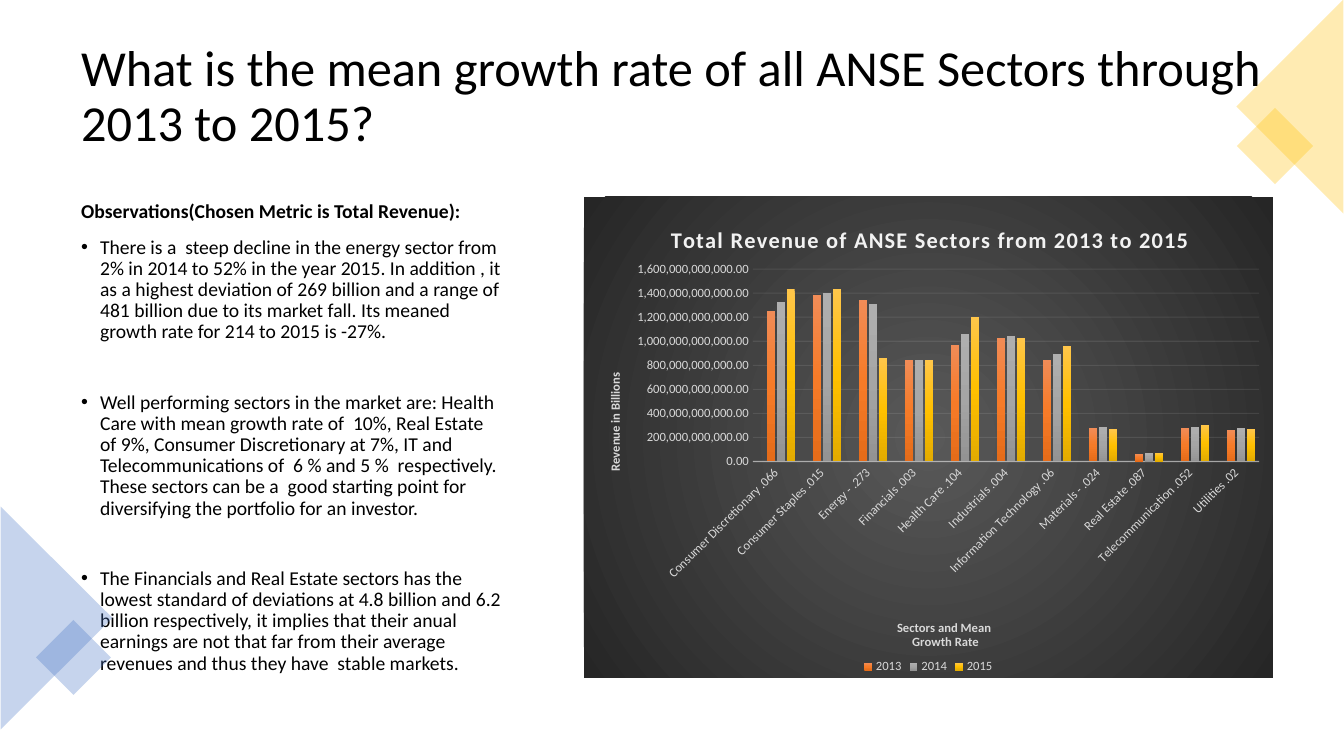
from lxml import etree
from pptx import Presentation
from pptx.chart.data import CategoryChartData
from pptx.dml.color import RGBColor
from pptx.enum.chart import XL_CHART_TYPE, XL_LEGEND_POSITION, XL_TICK_MARK
from pptx.enum.shapes import MSO_SHAPE
from pptx.enum.text import MSO_ANCHOR, MSO_AUTO_SIZE, PP_ALIGN
from pptx.oxml import parse_xml
from pptx.oxml.ns import nsdecls, qn
from pptx.util import Emu, Pt

TRIANGLE, RECTANGLE = MSO_SHAPE.ISOSCELES_TRIANGLE, MSO_SHAPE.RECTANGLE
CLUSTERED = XL_CHART_TYPE.COLUMN_CLUSTERED
BOTTOM = XL_LEGEND_POSITION.BOTTOM
NO_TICK = XL_TICK_MARK.NONE
LEFT, CENTER = PP_ALIGN.LEFT, PP_ALIGN.CENTER
TOP, MIDDLE = MSO_ANCHOR.TOP, MSO_ANCHOR.MIDDLE
NO_FIT = MSO_AUTO_SIZE.NONE

BLACK = RGBColor(0x00, 0x00, 0x00)
BLUE = RGBColor(0x44, 0x72, 0xC4)
GOLD = RGBColor(0xFF, 0xC0, 0x00)
PALE = RGBColor(0xF2, 0xF2, 0xF2)
LIGHT = RGBColor(0xD9, 0xD9, 0xD9)
CHART_STOPS = (RGBColor(0x59, 0x59, 0x59), RGBColor(0x26, 0x26, 0x26))
BLUE_STOPS = (RGBColor(0x61, 0x83, 0xCB), RGBColor(0x3E, 0x70, 0xCA), RGBColor(0x30, 0x62, 0xBB))
ORANGE_STOPS = (RGBColor(0xF1, 0x8C, 0x57), RGBColor(0xF6, 0x7B, 0x28), RGBColor(0xE5, 0x6C, 0x19))
GREY_STOPS = (RGBColor(0xAF, 0xAF, 0xAF), RGBColor(0xA5, 0xA5, 0xA5), RGBColor(0x93, 0x93, 0x93))
GOLD_STOPS = (RGBColor(0xFF, 0xC6, 0x4B), GOLD, RGBColor(0xE3, 0xAB, 0x00))

FONT = "Calibri"
PIXEL = 914400 / 100.8
BILLION = 10 ** 9
CHART_BOX = (584, 197, 689, 481)

TITLE = "What is the mean growth rate of all ANSE Sectors through 2013 to 2015?"
HEADING = "Observations(Chosen Metric is Total Revenue):"
OBSERVATIONS = [
    "There is a  steep decline in the energy sector from 2% in 2014 to 52% in the year 2015. "
    "In addition , it as a highest deviation of 269 billion and a range of 481 billion due to "
    "its market fall. Its meaned growth rate for 214 to 2015 is -27%.",
    "Well performing sectors in the market are: Health Care with mean growth rate of  10%, "
    "Real Estate of 9%, Consumer Discretionary at 7%, IT and Telecommunications of  6 % and "
    "5 %  respectively. These sectors can be a  good starting point for diversifying the "
    "portfolio for an investor.",
    "The Financials and Real Estate sectors has the lowest standard of deviations at 4.8 billion "
    "and 6.2 billion respectively, it implies that their anual earnings are not that far from "
    "their average revenues and thus they have  stable markets. ",
]
SECTORS = [
    "Consumer Discretionary .066", "Consumer Staples .015", "Energy - .273", "Financials .003",
    "Health Care .104", "Industrials .004", "Information Technology .06", "Materials - .024",
    "Real Estate .087", "Telecommunication .052", "Utilities .02",
]
SERIES = [
    ("Series 1", [0], BLUE_STOPS),
    ("2013", [1255, 1385, 1345, 840, 970, 1030, 845, 275, 62, 275, 260], ORANGE_STOPS),
    ("2014", [1330, 1400, 1310, 848, 1060, 1045, 890, 290, 69, 290, 275], GREY_STOPS),
    ("2015", [1435, 1435, 863, 848, 1205, 1030, 963, 268, 74, 307, 268], GOLD_STOPS),
]
DECORATIONS = [
    (TRIANGLE, (-55, 562, 223, 112), 90, BLUE),
    (RECTANGLE, (47, 631, 53, 53), 45, BLUE),
    (RECTANGLE, (1248, 119, 54, 54), 45, GOLD),
    (TRIANGLE, (1183, 53, 214, 107), 270, GOLD),
]


def px(value):
    return Emu(round(value * PIXEL))


def apply(target, values):
    for name, value in values.items():
        setattr(target, name, value)


def style_font(font, size, color, bold=False):
    apply(font, {"name": FONT, "size": Pt(size), "bold": bold})
    font.color.rgb = color


def place(shape, box):
    apply(shape, dict(zip(("left", "top", "width", "height"), map(px, box))))


def set_alpha(element, percent):
    for color in element.iter(qn("a:srgbClr")):
        etree.SubElement(color, qn("a:alpha")).set("val", str(percent * 1000))


def fill_placeholder(shape, box, anchor, paragraphs):
    place(shape, box)
    frame = shape.text_frame
    apply(frame, {"word_wrap": True, "auto_size": NO_FIT, "vertical_anchor": anchor})
    for index, (text, size, bold, space, bullet) in enumerate(paragraphs):
        paragraph = frame.add_paragraph() if index else frame.paragraphs[0]
        apply(paragraph, {"alignment": LEFT, "line_spacing": 0.9, "space_before": Pt(space)})
        run = paragraph.add_run()
        run.text = text
        style_font(run.font, size, BLACK, bold)
        properties = paragraph._p.get_or_add_pPr()
        indent = px(19) if bullet else 0
        properties.set("marL", str(indent))
        properties.set("indent", str(-indent))
        mark = etree.SubElement(properties, qn("a:buChar" if bullet else "a:buNone"))
        if bullet:
            mark.set("char", "•")


def add_decoration(slide, kind, box, rotation, color):
    shape = slide.shapes.add_shape(kind, *map(px, box))
    shape.rotation = rotation
    shape.shadow.inherit = False
    shape.fill.solid()
    shape.fill.fore_color.rgb = color
    shape.line.fill.background()
    set_alpha(shape.fill._xPr, 30)


def gradient_properties(stops, direction):
    step = 100000 // (len(stops) - 1)
    marks = "".join(f'<a:gs pos="{index * step}"><a:srgbClr val="{color}"/></a:gs>'
                    for index, color in enumerate(stops))
    return parse_xml(f'<c:spPr {nsdecls("c", "a")}><a:gradFill><a:gsLst>{marks}</a:gsLst>'
                     f'{direction}</a:gradFill><a:ln><a:noFill/></a:ln></c:spPr>')


def set_layout(element, index, target, **fractions):
    for old in element.findall(qn("c:layout")):
        element.remove(old)
    inner = f'<c:layoutTarget val="{target}"/>' if target else ""
    modes = "".join(f'<c:{axis}Mode val="edge"/>' for axis in "xy")
    values = "".join(f'<c:{name} val="{value}"/>' for name, value in fractions.items())
    element.insert(index, parse_xml(f'<c:layout {nsdecls("c")}><c:manualLayout>{inner}{modes}'
                                    f'{values}</c:manualLayout></c:layout>'))


def set_chart_title(title, lines, size, color, x, y, rotation=0, spacing=0):
    frame = title.text_frame
    for index, text in enumerate(lines):
        paragraph = frame.add_paragraph() if index else frame.paragraphs[0]
        paragraph.alignment = CENTER
        run = paragraph.add_run()
        run.text = text
        style_font(run.font, size, color, True)
        run.font._element.set("spc", str(spacing))
    frame._txBody.bodyPr.set("rot", str(rotation * 60000))
    set_layout(title._element, 1, None, x=x, y=y)


def style_line(line, color, width, alpha):
    line.color.rgb = color
    line.width = Pt(width)
    set_alpha(line._ln, alpha)


def style_axes(chart):
    category, value = chart.category_axis, chart.value_axis
    for axis in (category, value):
        apply(axis, {"major_tick_mark": NO_TICK, "minor_tick_mark": NO_TICK})
        style_font(axis.tick_labels.font, 9, LIGHT)
    category.tick_labels._element.find(qn("c:txPr")).bodyPr.set("rot", "-2700000")
    style_line(category.format.line, PALE, 1, 54)
    apply(value, {"minimum_scale": 0, "maximum_scale": 1600 * BILLION, "major_unit": 200 * BILLION})
    apply(value.tick_labels, {"number_format": "#,##0.00", "number_format_is_linked": False})
    value.format.line.fill.background()
    style_line(value.major_gridlines.format.line, PALE, 0.75, 10)
    set_chart_title(category.axis_title, ["Sectors and Mean", " Growth Rate"], 9, LIGHT, 0.45, 0.87)
    set_chart_title(value.axis_title, ["Revenue in Billions"], 9, LIGHT, 0.03, 0.36, rotation=-90)


def add_revenue_chart(slide):
    data = CategoryChartData()
    data.categories = SECTORS
    for name, billions, _ in SERIES:
        data.add_series(name, [amount * BILLION for amount in billions])
    chart = slide.shapes.add_chart(CLUSTERED, *map(px, CHART_BOX), data).chart
    style_font(chart.font, 10, BLACK)
    circle = '<a:path path="circle"><a:fillToRect l="50000" t="50000" r="50000" b="50000"/></a:path>'
    body = chart.element.find(qn("c:chart"))
    body.addnext(gradient_properties(CHART_STOPS, circle))
    set_layout(body.find(qn("c:plotArea")), 0, "inner", x=0.245, y=0.15, w=0.735, h=0.4)
    chart.has_title = True
    set_chart_title(chart.chart_title, ["Total Revenue of ANSE Sectors from 2013 to 2015"],
                    16, PALE, 0.12, 0.05, spacing=100)
    plot = chart.plots[0]
    apply(plot, {"gap_width": 100, "overlap": -24, "vary_by_categories": False})
    for series, (_, _, stops) in zip(plot.series, SERIES):
        element = series._element
        element.get_or_add_spPr()
        element.replace(element.find(qn("c:spPr")),
                        gradient_properties(stops, '<a:lin ang="5400000" scaled="0"/>'))
    style_axes(chart)
    chart.has_legend = True
    apply(chart.legend, {"position": BOTTOM, "include_in_layout": False})
    style_font(chart.legend.font, 9, LIGHT)
    hidden = f'<c:legendEntry {nsdecls("c")}><c:idx val="0"/><c:delete val="1"/></c:legendEntry>'
    chart.legend._element.find(qn("c:legendPos")).addnext(parse_xml(hidden))


def main():
    presentation = Presentation()
    apply(presentation, {"slide_width": px(1344), "slide_height": px(756)})
    slide = presentation.slides.add_slide(presentation.slide_layouts[1])
    fill_placeholder(slide.shapes.title, (71, 35, 1203, 125), MIDDLE, [(TITLE, 36, False, 0, False)])
    paragraphs = [(HEADING, 14, True, 10, False)]
    paragraphs += [(text, 14, False, 35 if index else 10, True)
                   for index, text in enumerate(OBSERVATIONS)]
    fill_placeholder(slide.placeholders[1], (71, 197, 442, 485), TOP, paragraphs)
    for decoration in DECORATIONS:
        add_decoration(slide, *decoration)
    add_revenue_chart(slide)
    presentation.save("out.pptx")


main()
